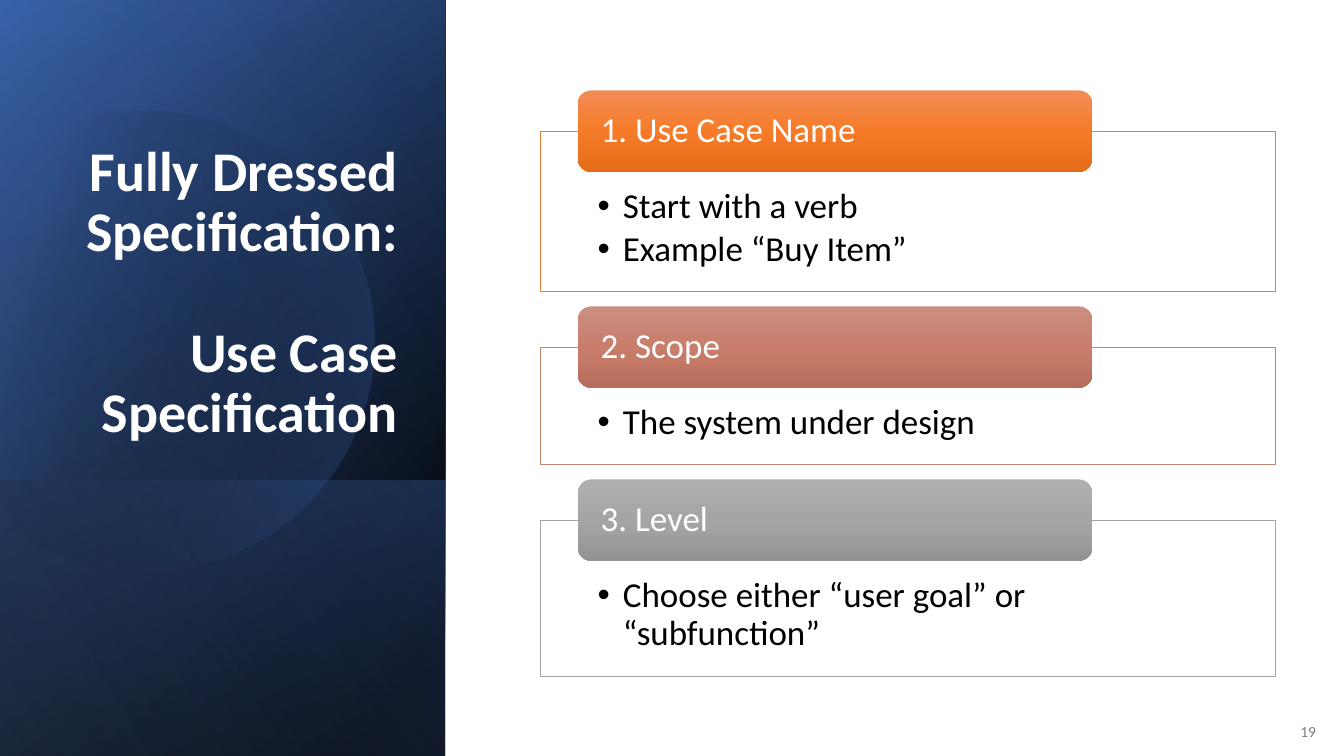
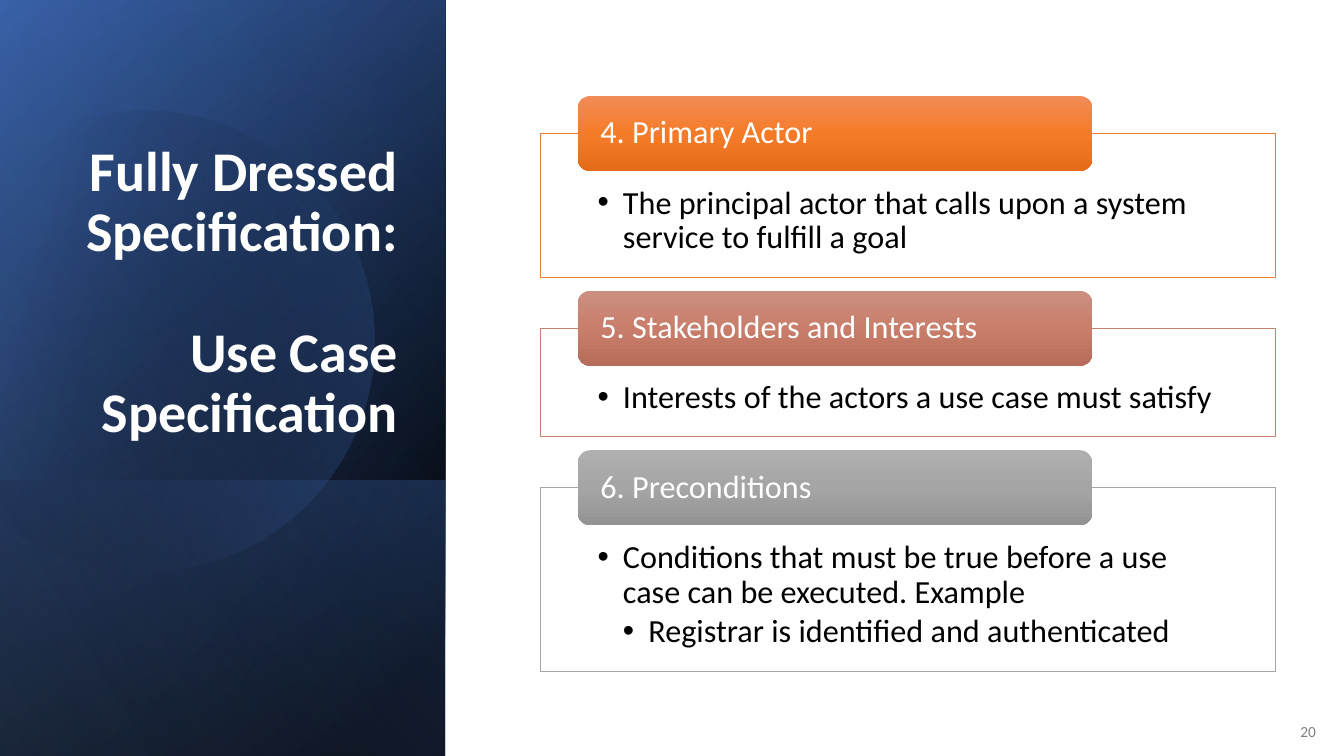
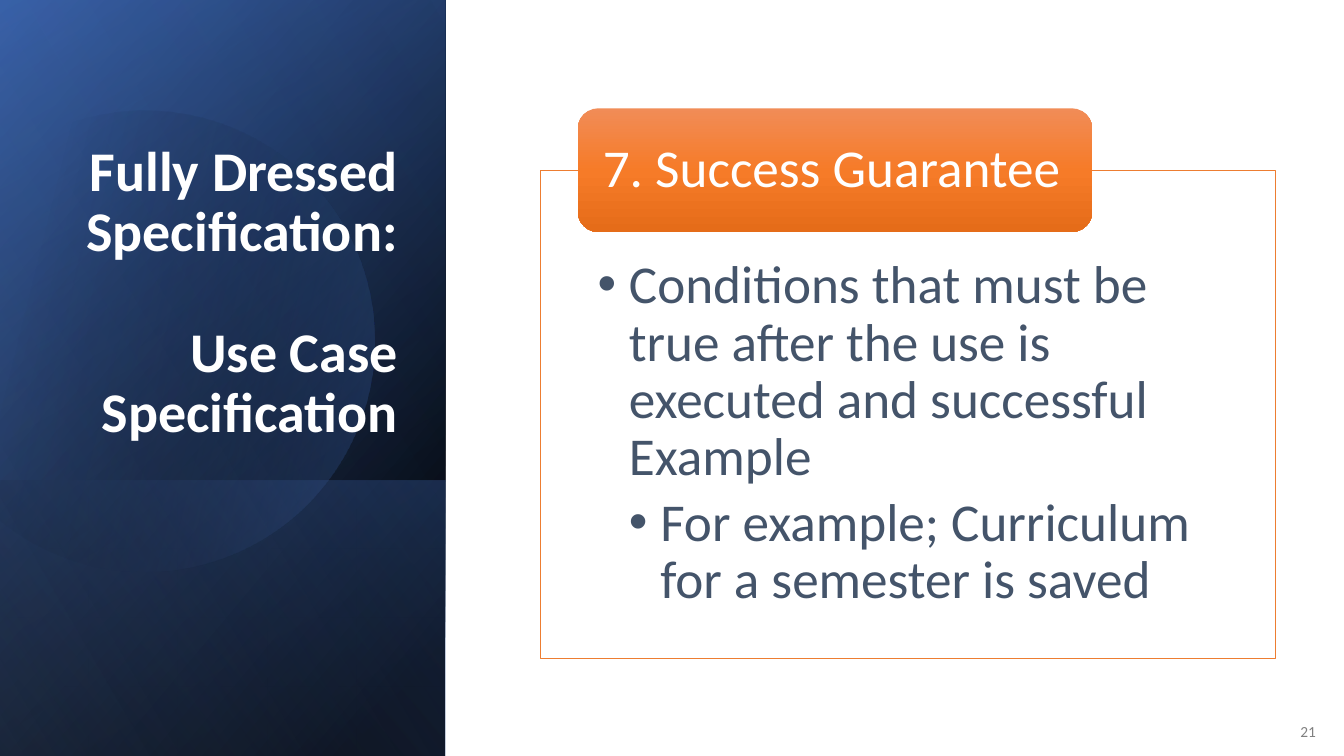
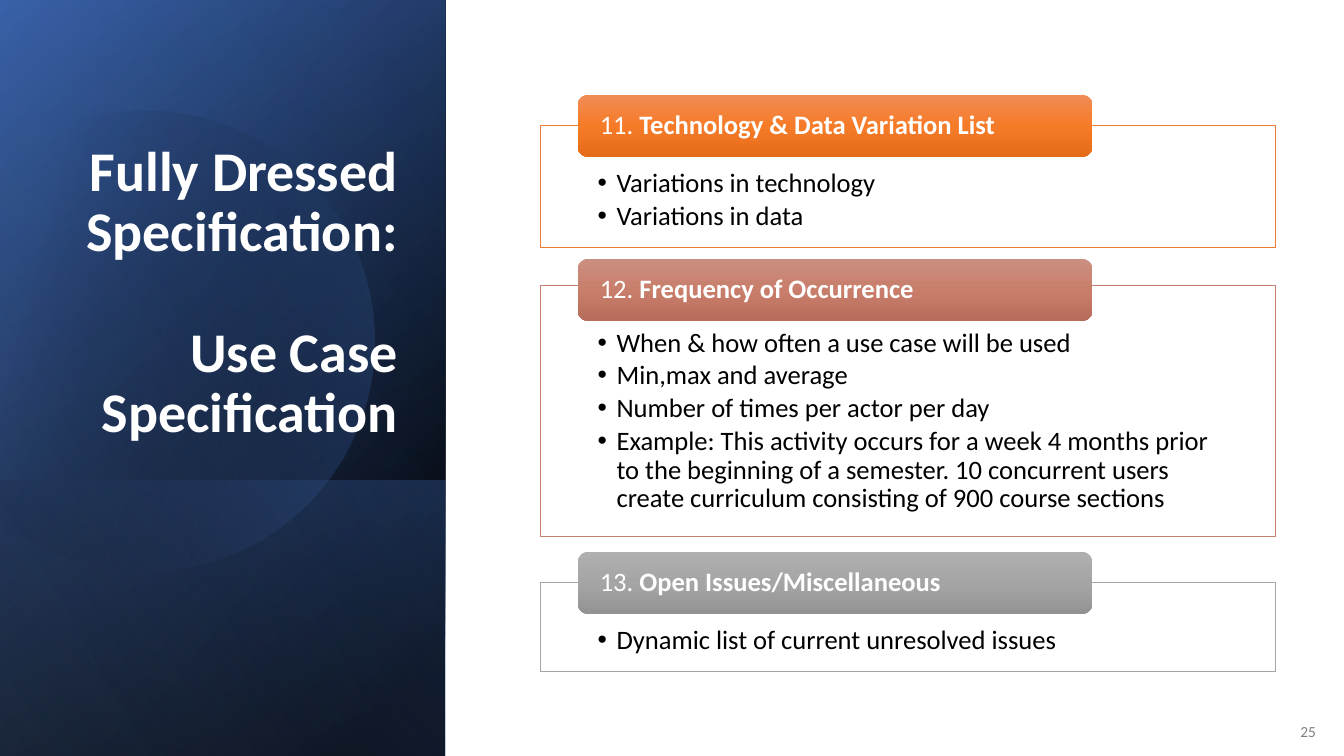
from dataclasses import dataclass
from math import cos, radians, sin

from pptx import Presentation
from pptx.dml.color import RGBColor
from pptx.enum.shapes import MSO_SHAPE
from pptx.enum.text import MSO_ANCHOR, MSO_AUTO_SIZE, PP_ALIGN
from pptx.oxml import parse_xml
from pptx.oxml.ns import nsdecls, qn
from pptx.util import Cm, Pt

FONT = "Calibri"
COLORS = {
    "white": "FFFFFF",
    "black": "000000",
    "slate": "44546A",
    "number": "808080",
    "navy": "2F5597",
    "blue": "4472C4",
    "pale_blue": "8FAADC",
    "orange": "ED7D31",
    "orange_top": "F18C57",
    "orange_middle": "F67B28",
    "orange_bottom": "E56C19",
    "rose": "C48170",
    "rose_top": "CB8F81",
    "rose_middle": "C97E6B",
    "rose_bottom": "B76D5B",
    "gray": "A5A5A5",
    "gray_top": "AFAFAF",
    "gray_middle": "A5A5A5",
    "gray_bottom": "939393",
}
CARD_COLORS = ("orange", "rose", "gray")

SLIDE_WIDTH, SLIDE_HEIGHT = 33.87, 19.05
PANEL_WIDTH = 11.22
FRAME_LEFT, FRAME_WIDTH, FRAME_INSET = 13.61, 18.52, 1.45
HEADER_LEFT, HEADER_WIDTH, HEADER_INSET = 14.56, 12.97, 0.48


@dataclass
class Card:
    heading: str
    height: float
    bullets: list
    strong: str = ""
    frame_lift: float = 0


@dataclass
class Page:
    number: int
    top: float
    size: int
    indent: float
    cards: list
    color: str = "black"


PAGES = [
    Page(19, 2.28, 25, 0.64, [
        Card("1. Use Case Name", 4.04, [(1, "Start with a verb"), (1, "Example “Buy Item”")]),
        Card("2. Scope", 2.96, [(1, "The system under design")]),
        Card("3. Level", 3.95, [(1, "Choose either “user goal” or “subfunction”")]),
    ]),
    Page(20, 2.42, 23, 0.64, [
        Card("4. Primary Actor", 3.62, [
            (1, "The principal actor that calls upon a system service to fulfill a goal"),
        ]),
        Card("5. Stakeholders and Interests", 2.73, [
            (1, "Interests of the actors a use case must satisfy"),
        ]),
        Card("6. Preconditions", 4.62, [
            (1, "Conditions that must be true before a use case can be executed. Example"),
            (2, "Registrar is identified and authenticated"),
        ]),
    ]),
    Page(21, 2.73, 38, 0.79, [
        Card("7. Success Guarantee", 12.3, [
            (1, "Conditions that must be true after the use is executed and successful Example"),
            (2, "For example; Curriculum for a semester is saved"),
        ]),
    ], "slate"),
    Page(25, 2.39, 19, 0.48, [
        Card("11. ", 3.07, [(1, "Variations in technology"), (1, "Variations in data")],
             "Technology & Data Variation List"),
        Card("12. ", 6.32, [
            (1, "When & how often a use case will be used"),
            (1, "Min,max and average"),
            (1, "Number of times per actor per day"),
            (1, "Example: This activity occurs for a week 4 months prior to the beginning of a "
                "semester. 10 concurrent users create curriculum consisting of 900 course sections"),
        ], "Frequency of Occurrence", 0.11),
        Card("13. ", 2.24, [(1, "Dynamic list of current unresolved issues")],
             "Open Issues/Miscellaneous"),
    ]),
]


def rgb(name):
    return RGBColor.from_string(COLORS[name])


def color_xml(name, alpha=100):
    return f'<a:srgbClr val="{COLORS[name]}"><a:alpha val="{alpha * 1000}"/></a:srgbClr>'


def replace_fill(shape, fill_xml):
    shape.shadow.inherit = False
    shape.fill.background()
    properties = shape.element.spPr
    properties.replace(properties.find(qn("a:noFill")), parse_xml(fill_xml))


def fill_gradient(shape, stops, angle):
    stop_xml = "".join(
        f'<a:gs pos="{position * 1000}">{color_xml(name, alpha)}</a:gs>'
        for position, name, alpha in stops
    )
    replace_fill(shape, f'<a:gradFill {nsdecls("a")} rotWithShape="1"><a:gsLst>{stop_xml}</a:gsLst>'
                        f'<a:lin ang="{angle * 60000}" scaled="0"/></a:gradFill>')
    shape.line.fill.background()


def format_paragraph(paragraph, size, color, bold=False):
    paragraph.line_spacing = 0.9
    for span in paragraph.runs:
        span.font.name = FONT
        span.font.size = Pt(size)
        span.font.bold = bold
        span.font.color.rgb = rgb(color)


def set_insets(frame, left, top, right, bottom):
    frame.word_wrap = True
    frame.margin_left, frame.margin_top = Cm(left), Cm(top)
    frame.margin_right, frame.margin_bottom = Cm(right), Cm(bottom)


def add_bullet(paragraph, level, indent):
    paragraph.level = level
    properties = paragraph._p.get_or_add_pPr()
    properties.set("marL", str(Cm(indent * level)))
    properties.set("indent", str(-Cm(indent)))
    properties.append(parse_xml(f'<a:buFont {nsdecls("a")} typeface="Arial"/>'))
    properties.append(parse_xml(f'<a:buChar {nsdecls("a")} char="•"/>'))


def add_band(slide, top, height, stops, angle):
    offset = (PANEL_WIDTH - height) / 2
    band = slide.shapes.add_shape(MSO_SHAPE.RECTANGLE, Cm(offset), Cm(top - offset),
                                  Cm(height), Cm(PANEL_WIDTH))
    band.rotation = 90
    band.element.spPr.xfrm.set("flipH", "1")
    fill_gradient(band, stops, angle)


def add_cut_circle(slide):
    radius, start, end = Cm(5.8), -118, 150
    points = [(round(radius * cos(radians(angle))), round(radius * sin(radians(angle))))
              for angle in (start, -90, 0, 90, end)]
    builder = slide.shapes.build_freeform(*points[0])
    builder.add_line_segments(points[1:], close=True)
    circle = builder.convert_to_shape()
    circle.left, circle.top = Cm(-1.4), Cm(2.69)
    circle.rotation = 343.9
    segments = list(circle.element.iter(qn("a:lnTo")))
    segments[0].addprevious(parse_xml(
        f'<a:arcTo {nsdecls("a")} wR="{radius}" hR="{radius}" '
        f'stAng="{start * 60000}" swAng="{(end - start) * 60000}"/>'))
    for segment in segments:
        segment.getparent().remove(segment)
    fill_gradient(circle, [(29, "black", 0), (100, "blue", 43)], 30)


def add_panel(slide):
    add_band(slide, 0, SLIDE_HEIGHT, [(8, "black", 100), (100, "navy", 100)], 50)
    add_band(slide, 0, SLIDE_HEIGHT, [(0, "black", 0), (99, "blue", 46)], 30)
    add_band(slide, 12.1, 6.95, [(2, "blue", 29), (100, "black", 30)], 130)
    add_cut_circle(slide)
    add_band(slide, 0, SLIDE_HEIGHT, [(0, "black", 0), (99, "pale_blue", 11)], 120)


def add_title(slide):
    title = slide.shapes.title
    title.element.getparent().append(title.element)
    title.left, title.top, title.width, title.height = Cm(1.61), Cm(4.69), Cm(8.66), Cm(6.65)
    frame = title.text_frame
    frame.text = "Fully Dressed Specification:\nUse Case Specification"
    frame.auto_size = MSO_AUTO_SIZE.NONE
    frame.vertical_anchor = MSO_ANCHOR.BOTTOM
    set_insets(frame, 0.25, 0.13, 0.25, 0.13)
    for paragraph in frame.paragraphs:
        paragraph.alignment = PP_ALIGN.RIGHT
        format_paragraph(paragraph, 40, "white", True)
    frame.paragraphs[1].space_before = Pt(43)


def add_page_number(slide, number):
    box = slide.shapes.add_textbox(Cm(32.52), Cm(17.95), Cm(1.24), Cm(1.02))
    frame = box.text_frame
    frame.text = str(number)
    frame.word_wrap = True
    frame.vertical_anchor = MSO_ANCHOR.MIDDLE
    format_paragraph(frame.paragraphs[0], 11, "number")


def add_frame(slide, card, page, top, color):
    box = slide.shapes.add_shape(MSO_SHAPE.RECTANGLE, Cm(FRAME_LEFT), Cm(top),
                                 Cm(FRAME_WIDTH), Cm(card.height))
    replace_fill(box, f'<a:solidFill {nsdecls("a")}>{color_xml("white", 90)}</a:solidFill>')
    box.line.color.rgb = rgb(color)
    box.line.width = Pt(0.5)
    frame = box.text_frame
    frame.text = "\n".join(text for level, text in card.bullets)
    frame.vertical_anchor = MSO_ANCHOR.TOP
    set_insets(frame, FRAME_INSET, page.size * 0.058, FRAME_INSET, page.size * 0.02)
    for paragraph, (level, text) in zip(frame.paragraphs, card.bullets):
        add_bullet(paragraph, level, page.indent)
        paragraph.alignment = PP_ALIGN.LEFT
        paragraph.space_after = Pt(page.size * 0.15)
        format_paragraph(paragraph, page.size, page.color)


def add_header(slide, card, size, top, height, color):
    header = slide.shapes.add_shape(MSO_SHAPE.ROUNDED_RECTANGLE, Cm(HEADER_LEFT), Cm(top),
                                    Cm(HEADER_WIDTH), Cm(height))
    fill_gradient(header, [(0, f"{color}_top", 100), (50, f"{color}_middle", 100),
                           (100, f"{color}_bottom", 100)], 90)
    frame = header.text_frame
    frame.vertical_anchor = MSO_ANCHOR.MIDDLE
    set_insets(frame, HEADER_INSET, 0, HEADER_INSET, 0)
    paragraph = frame.paragraphs[0]
    paragraph.text = card.heading
    paragraph.alignment = PP_ALIGN.LEFT
    if card.strong:
        paragraph.add_run().text = card.strong
    format_paragraph(paragraph, size, "white")
    if card.strong:
        paragraph.runs[1].font.bold = True


def add_cards(slide, page):
    header_height = page.size * 0.082
    gap = page.size * 0.015
    top = page.top
    for card, color in zip(page.cards, CARD_COLORS):
        middle = top + header_height / 2
        add_frame(slide, card, page, middle - card.frame_lift, color)
        add_header(slide, card, page.size, top, header_height, color)
        top = middle + card.height + gap


def main():
    deck = Presentation()
    deck.slide_width, deck.slide_height = Cm(SLIDE_WIDTH), Cm(SLIDE_HEIGHT)
    for page in PAGES:
        slide = deck.slides.add_slide(deck.slide_layouts[5])
        add_panel(slide)
        add_title(slide)
        add_page_number(slide, page.number)
        add_cards(slide, page)
    deck.save("out.pptx")


if __name__ == "__main__":
    main()
